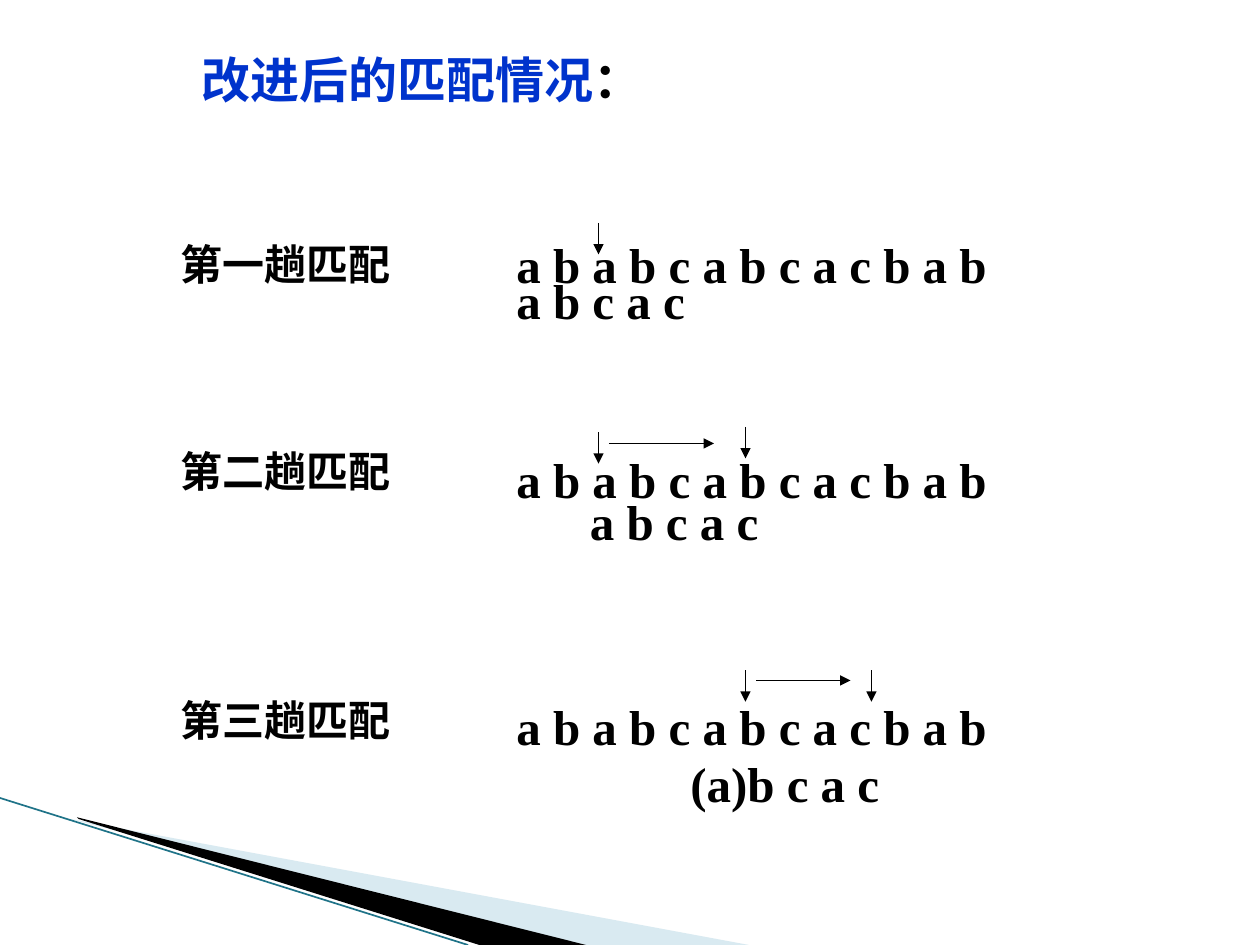
from lxml.etree import SubElement
from pptx import Presentation
from pptx.dml.color import RGBColor
from pptx.enum.shapes import MSO_CONNECTOR as Connector
from pptx.enum.text import MSO_ANCHOR as Anchor, PP_ALIGN as Align
from pptx.oxml.ns import qn
from pptx.util import Pt

COLORS = {"ink": "000000", "title": "0033CC", "pale": "A0CBDC", "edge": "1F7388"}
TITLE = [("改进后的匹配情况", "title"), ("：", "ink")]
TARGET = "a b a b c a b c a c b a b"
LABEL_LEFT, TARGET_LEFT = 96, 288
ROUNDS = [
    {"label": ("第一趟匹配", 132.5), "target_top": 130.3,
     "pattern": ("a b c a c", 288, 151.2, 111),
     "downs": [(342, 127.4)], "moves": []},
    {"label": ("第二趟匹配", 251.3), "target_top": 253.4,
     "pattern": ("a b c a c", 330, 277.2, 111),
     "downs": [(342, 247), (426, 244)], "moves": [(348, 408, 253.4)]},
    {"label": ("第三趟匹配", 393.1), "target_top": 394.6,
     "pattern": ("(a)b c a c", 387.4, 427, 122.4),
     "downs": [(426, 383), (498, 383)], "moves": [(432, 486, 388.8)]},
]
WEDGES = [
    ("pale", 40, [(39.6, 468), (428.4, 540), (328.3, 540)]),
    ("ink", 100, [(43.9, 467.3), (334.8, 540), (273.6, 540), (44.6, 468)]),
]
EDGE = (0, 456, 267.5, 540)
ARROW_DROP = 18


def color(name):
    return RGBColor.from_string(COLORS[name])


def add_span(para, text, size, tint="ink"):
    span = para.add_run()
    span.text = text
    for key, value in {"name": "Times New Roman", "size": Pt(size), "bold": True}.items():
        setattr(span.font, key, value)
    span.font.color.rgb = color(tint)


def add_label(shapes, text, left, top, width, height, size):
    box = shapes.add_textbox(Pt(left), Pt(top), Pt(width), Pt(height))
    box.text_frame.word_wrap = False
    add_span(box.text_frame.paragraphs[0], text, size)


def add_line(shapes, ends, tint="ink", weight=0.75, arrow=True):
    line = shapes.add_connector(Connector.STRAIGHT, *map(Pt, ends))
    line.line.color.rgb = color(tint)
    line.line.width = Pt(weight)
    if arrow:
        SubElement(line.line._get_or_add_ln(), qn("a:tailEnd"), type="triangle")
    SubElement(line._element.spPr, qn("a:effectLst"))


def add_wedge(shapes, tint, opacity, points):
    builder = shapes.build_freeform(*points[0], scale=Pt(1))
    builder.add_line_segments(points[1:], close=True)
    wedge = builder.convert_to_shape()
    wedge.shadow.inherit = False
    wedge.fill.solid()
    wedge.fill.fore_color.rgb = color(tint)
    wedge.line.fill.background()
    if opacity < 100:
        fill = wedge._element.spPr.find(qn("a:solidFill"))
        SubElement(fill[0], qn("a:alpha"), val=str(opacity * 1000))


def add_round(page, match):
    shapes = page.shapes.add_group_shape().shapes
    label, label_top = match["label"]
    add_label(shapes, label, LABEL_LEFT, label_top, 136, 36, 24)
    add_label(shapes, TARGET, TARGET_LEFT, match["target_top"], 283.7, 41, 28)
    pattern, left, top, width = match["pattern"]
    add_label(shapes, pattern, left, top, width, 41, 28)
    for x, y in match["downs"]:
        add_line(shapes, (x, y, x, y + ARROW_DROP))
    for start, end, y in match["moves"]:
        add_line(shapes, (start, y, end, y))


def add_title(page):
    title = page.shapes.title
    place = {"left": 108, "top": 0, "width": 612, "height": 90}
    for key, value in place.items():
        setattr(title, key, Pt(value))
    title.text_frame.vertical_anchor = Anchor.MIDDLE
    para = title.text_frame.paragraphs[0]
    para.alignment = Align.LEFT
    for text, tint in TITLE:
        add_span(para, text, 28, tint)


def main():
    deck = Presentation()
    deck.slide_width, deck.slide_height = Pt(720), Pt(540)
    page = deck.slides.add_slide(deck.slide_layouts[5])
    for wedge in WEDGES:
        add_wedge(page.shapes, *wedge)
    add_line(page.shapes, EDGE, "edge", 0.95, arrow=False)
    for match in ROUNDS:
        add_round(page, match)
    add_title(page)
    deck.save("out.pptx")


if __name__ == "__main__":
    main()
